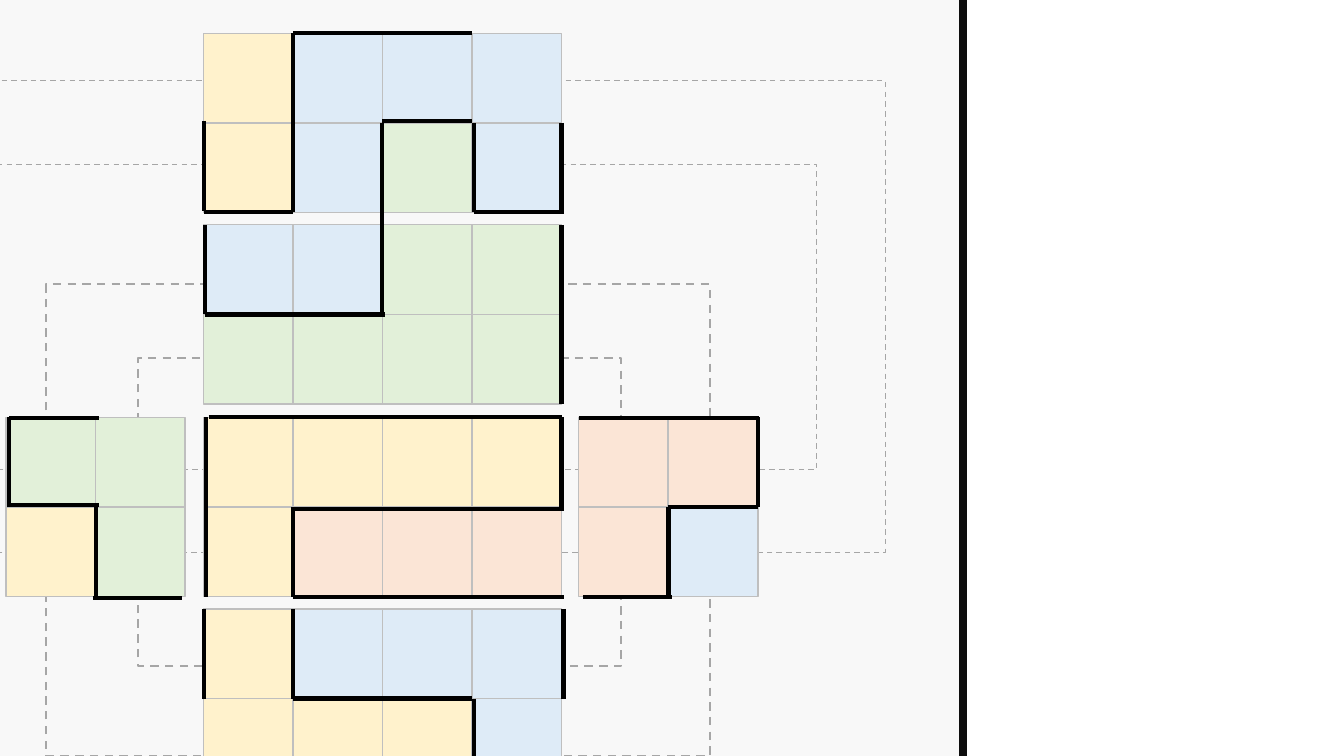
import pptx
import pptx.util
import pptx.dml.color
import pptx.enum.dml
import pptx.enum.shapes
import pptx.oxml

Inches = pptx.util.Inches

COLORS = {
    "panel": "F8F8F8", "frame": "0D0D0D", "loop": "A6A6A6",
    "grid": "BFBFBF", "wall": "000000",
    "Y": "FFF2CC", "B": "DEEBF7", "G": "E2F0D9", "R": "FBE5D6",
}
PANEL = (-1.97, -2.61, 11.52, 12.33)
LOOPS = [
    (1.37, 3.55, 4.79, 3.06, 1.5),
    (0.46, 2.82, 6.58, 4.68, 1.5),
    (-0.51, 1.63, 8.61, 3.03, 1),
    (-1.21, 0.8, 9.99, 4.68, 1),
]
CELL = 0.89
STEP = 0.887
FACES = [
    (2.02, 4.14, ["YYYY", "YRRR"]),
    (5.74, 4.14, ["RR", "RB"]),
    (2.02, 0.33, ["YBBB", "YBGB"]),
    (0.06, 4.14, ["GG", "YG"]),
    (2.02, 2.23, ["BBGG", "GGGG"]),
    (2.02, 6.04, ["YBBB", "YYYB"]),
]
UPRIGHT = [
    (2.04, 4.14, 5.92), (5.57, 4.14, 5.03), (4.7, 1.22, 2.1),
    (2.91, 0.33, 2.1), (2.91, 6.04, 6.93), (2.91, 5.03, 5.92),
    (7.52, 4.14, 5.03), (0.09, 4.14, 5.03), (4.7, 6.93, 7.82),
    (2.03, 2.23, 3.12), (2.02, 6.04, 6.93), (5.57, 1.22, 2.11),
    (5.57, 2.23, 4.01), (0.95, 5.03, 5.92), (6.63, 5.03, 5.92),
    (5.59, 6.04, 6.93), (2.02, 1.2, 2.09), (3.79, 1.22, 3.11),
]
LEVEL = [
    (2.1, 2.02, 2.91), (4.14, 2.07, 5.57), (3.12, 2.03, 3.82),
    (2.1, 4.7, 5.59), (0.33, 2.91, 4.68), (5.01, 0.09, 0.98),
    (5.93, 0.92, 1.81), (4.15, 5.74, 7.53), (5.03, 6.63, 7.52),
    (5.05, 2.91, 5.59), (5.92, 5.78, 6.67), (6.93, 2.91, 4.68),
    (5.92, 2.91, 5.59), (4.15, 0.09, 0.98), (1.2, 3.79, 4.68),
]


def color(name):
    return pptx.dml.color.RGBColor.from_string(COLORS[name])


def stroke(item, name, width):
    item.line.color.rgb = color(name)
    item.line.width = pptx.util.Pt(width)


def box(slide, place, fill, line, width):
    rect = slide.shapes.add_shape(
        pptx.enum.shapes.MSO_SHAPE.RECTANGLE, *map(Inches, place))
    rect.shadow.inherit = False
    if fill:
        rect.fill.solid()
        rect.fill.fore_color.rgb = color(fill)
    else:
        rect.fill.background()
    stroke(rect, line, width)
    return rect


def wall(slide, *ends):
    line = slide.shapes.add_connector(
        pptx.enum.shapes.MSO_CONNECTOR.STRAIGHT, *map(Inches, ends))
    stroke(line, "wall", 3)
    props = line._element.spPr
    props.append(pptx.oxml.parse_xml(
        '<a:effectLst xmlns:a='
        '"http://schemas.openxmlformats.org/drawingml/2006/main"/>'))


def main():
    deck = pptx.Presentation()
    deck.slide_width = Inches(13.33)
    deck.slide_height = Inches(7.5)
    slide = deck.slides.add_slide(deck.slide_layouts[6])

    box(slide, PANEL, "panel", "frame", 6)
    for *place, width in LOOPS:
        loop = box(slide, place, None, "loop", width)
        loop.line.dash_style = pptx.enum.dml.MSO_LINE.DASH
    for left, top, rows in FACES:
        for row, tints in enumerate(rows):
            for col, tint in enumerate(tints):
                place = (left + col * STEP, top + row * CELL, CELL, CELL)
                box(slide, place, tint, "grid", 1)
    for x, top, end in UPRIGHT:
        wall(slide, x, top, x, end)
    for y, left, end in LEVEL:
        wall(slide, left, y, end, y)

    deck.save("out.pptx")


if __name__ == "__main__":
    main()
